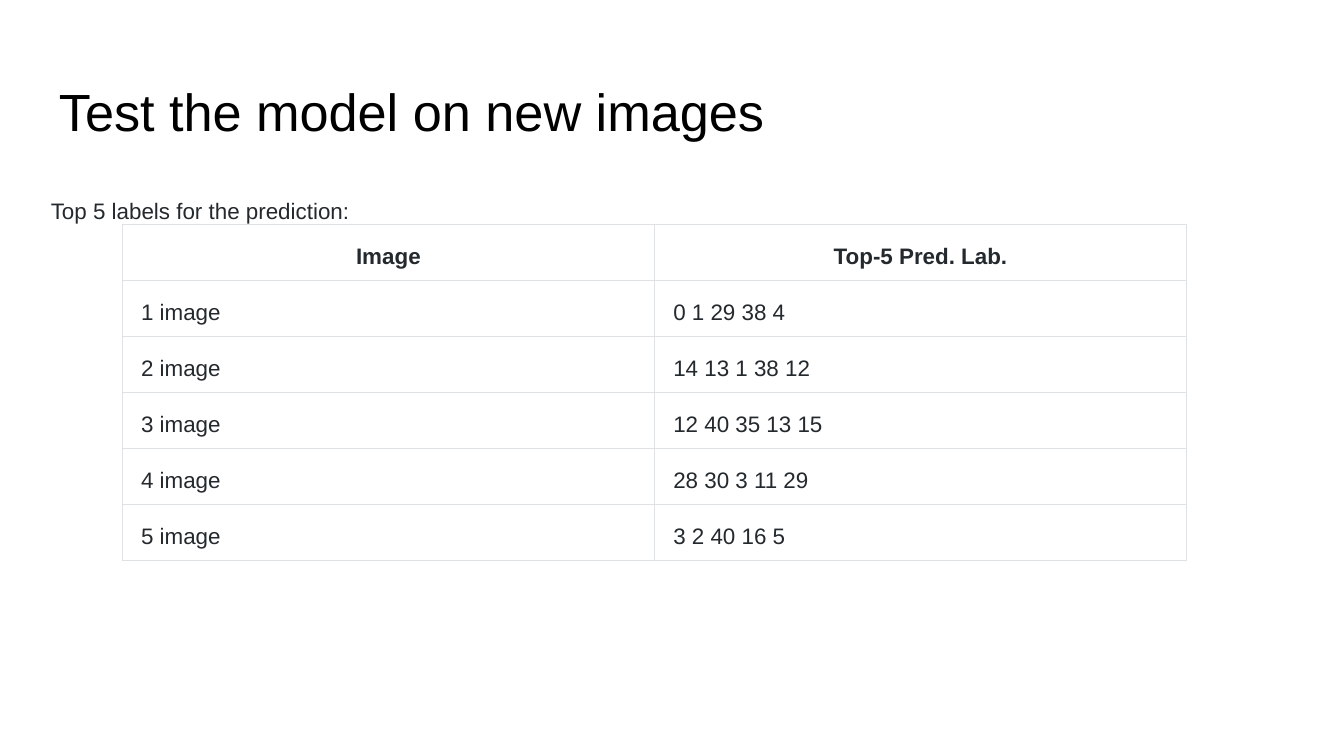
from pptx import Presentation
from pptx.dml.color import RGBColor
from pptx.enum.text import PP_ALIGN
from pptx.oxml import parse_xml
from pptx.oxml.ns import nsdecls
from pptx.util import Inches, Pt

TITLE = "Test the model on new images"
LEAD = "Top 5 labels for the prediction:"
HEAD = ("Image", "Top-5 Pred. Lab.")
LABELS = ["0 1 29 38 4", "14 13 1 38 12", "12 40 35 13 15", "28 30 3 11 29", "3 2 40 16 5"]
ROWS = [HEAD] + [(f"{n} image", tags) for n, tags in enumerate(LABELS, 1)]

INK, EDGE, WHITE = "24292E", "DFE2E5", "FFFFFF"
BIG = {"size": Pt(28), "name": "Arial", "bold": False}
SMALL = {"size": Pt(12), "name": "Arial", "bold": False}
BOLD = {**SMALL, "bold": True}
LOOSE = {"line_spacing": 1.43, "space_after": Pt(12), "alignment": PP_ALIGN.LEFT}
MID = {**LOOSE, "alignment": PP_ALIGN.CENTER}
TIGHT = {"line_spacing": 1.0}
PAD = {"margin_left": Inches(0.14), "margin_right": Inches(0.14),
       "margin_top": Pt(4.7), "margin_bottom": Pt(4.7)}
INSET = {side: Inches(0.1) for side in PAD}
WIDE, HIGH = Inches(3.96), Pt(30)


def color(text):
    return RGBColor.from_string(text)


def apply(item, style):
    for key, value in style.items():
        setattr(item, key, value)


def write(frame, text, font, para, ink=INK):
    line = frame.paragraphs[0]
    apply(line, para)
    run = line.add_run()
    run.text = text
    apply(run.font, font)
    run.font.color.rgb = color(ink)


def add_text(slide, box, text, font, para, ink=INK):
    frame = slide.shapes.add_textbox(*map(Inches, box)).text_frame
    frame.word_wrap = True
    apply(frame, INSET)
    write(frame, text, font, para, ink)


def border(cell):
    props = cell._tc.get_or_add_tcPr()
    for spot, side in enumerate("LRTB"):
        props.insert(spot, parse_xml(
            f'<a:ln{side} {nsdecls("a")} w="{Pt(0.75)}"><a:solidFill>'
            f'<a:srgbClr val="{EDGE}"/></a:solidFill></a:ln{side}>'))


def add_grid(slide):
    grid = slide.shapes.add_table(
        len(ROWS), len(HEAD), Inches(0.91), Inches(1.67),
        WIDE * len(HEAD), HIGH * len(ROWS)).table
    for col in grid.columns:
        col.width = WIDE
    for r, row in enumerate(ROWS):
        grid.rows[r].height = HIGH
        font, para = (SMALL, LOOSE) if r else (BOLD, MID)
        for c, text in enumerate(row):
            cell = grid.cell(r, c)
            apply(cell, PAD)
            cell.fill.solid()
            cell.fill.fore_color.rgb = color(WHITE)
            border(cell)
            write(cell.text_frame, text, font, para)


def main():
    deck = Presentation()
    deck.slide_width, deck.slide_height = Inches(10), Inches(10 * 9 / 16)
    slide = deck.slides.add_slide(deck.slide_layouts[6])
    add_text(slide, (0.34, 0.49, 9.32, 0.63), TITLE, BIG, TIGHT, "000000")
    add_text(slide, (0.28, 1.28, 9.32, 0.39), LEAD, SMALL, LOOSE)
    add_grid(slide)
    deck.save("out.pptx")


if __name__ == "__main__":
    main()
